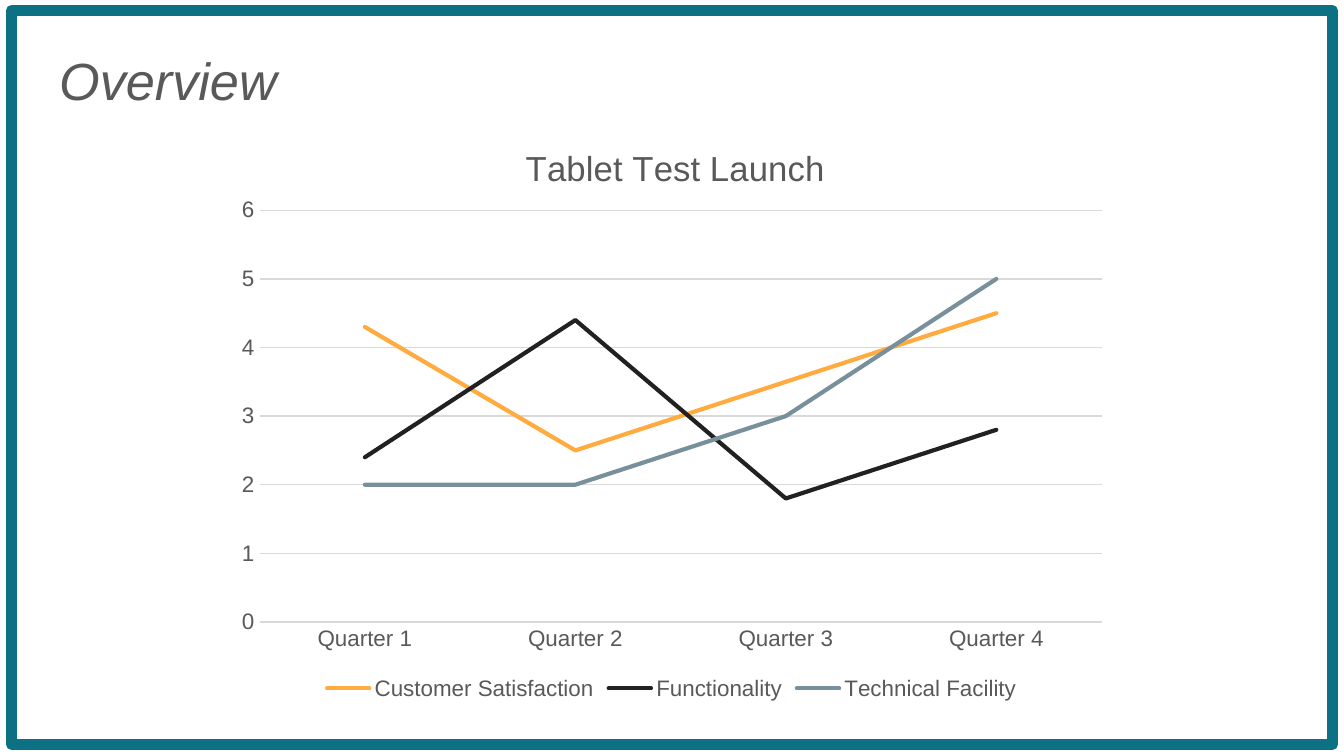
import dataclasses

import lxml.etree
import pptx
import pptx.chart.data
import pptx.dml.color
import pptx.enum.chart
import pptx.enum.shapes
import pptx.enum.text
import pptx.oxml.ns
import pptx.util
from pptx.util import Cm


@dataclasses.dataclass(frozen=True)
class Theme:
    font: str = "Arial"
    frame: str = "0C7182"
    text: str = "595959"
    grid: str = "D9D9D9"
    series: tuple = ("FFAB40", "212121", "78909C")
    heading_size: float = 28
    chart_title_size: float = 18.6
    label_size: float = 12
    frame_width: float = 6
    series_width: float = 2.25
    grid_width: float = 0.75


THEME = Theme()
QUARTERS = [f"Quarter {number}" for number in range(1, 5)]
SCORES = {
    "Customer Satisfaction": (4.3, 2.5, 3.5, 4.5),
    "Functionality": (2.4, 4.4, 1.8, 2.8),
    "Technical Facility": (2, 2, 3, 5),
}


def style_font(font, size, italic=False):
    font.name = THEME.font
    font.size = pptx.util.Pt(size)
    font.bold = False
    font.italic = italic
    font.color.rgb = pptx.dml.color.RGBColor.from_string(THEME.text)


def style_line(line, color, width):
    line.color.rgb = pptx.dml.color.RGBColor.from_string(color)
    line.width = pptx.util.Pt(width)


def add_span(para, text, size, italic=False):
    span = para.add_run()
    span.text = text
    style_font(span.font, size, italic)


def place_in_chart(element, inner=False, **fractions):
    """Give a chart part a fixed place, in fractions of the chart."""
    qn = pptx.oxml.ns.qn
    layout = element.find(qn("c:layout"))
    if layout is None:
        layout = lxml.etree.Element(qn("c:layout"))
        element.insert(0, layout)
    manual = lxml.etree.SubElement(layout, qn("c:manualLayout"))
    settings = [("layoutTarget", "inner")] if inner else []
    settings += [("xMode", "edge"), ("yMode", "edge"), *fractions.items()]
    for name, value in settings:
        lxml.etree.SubElement(manual, qn(f"c:{name}")).set("val", str(value))


def add_frame(page, left, top, width, height):
    frame = page.shapes.add_shape(
        pptx.enum.shapes.MSO_SHAPE.RECTANGLE, left, top, width, height)
    frame.shadow.inherit = False
    frame.fill.background()
    style_line(frame.line, THEME.frame, THEME.frame_width)
    lxml.etree.SubElement(frame.line._ln, pptx.oxml.ns.qn("a:round"))


def add_heading(page, text, left, top, width, height):
    box = page.shapes.add_textbox(left, top, width, height)
    frame = box.text_frame
    frame.word_wrap = True
    frame.vertical_anchor = pptx.enum.text.MSO_ANCHOR.TOP
    frame.margin_left = frame.margin_right = frame.margin_bottom = Cm(0.25)
    frame.margin_top = Cm(0.35)
    add_span(frame.paragraphs[0], text, THEME.heading_size, italic=True)


def style_axes(chart):
    for axis in (chart.category_axis, chart.value_axis):
        axis.major_tick_mark = pptx.enum.chart.XL_TICK_MARK.NONE
        axis.minor_tick_mark = pptx.enum.chart.XL_TICK_MARK.NONE
        style_font(axis.tick_labels.font, THEME.label_size)
    style_line(chart.category_axis.format.line, THEME.grid, THEME.grid_width)
    values = chart.value_axis
    values.minimum_scale, values.maximum_scale, values.major_unit = 0, 6, 1
    values.format.line.fill.background()
    style_line(values.major_gridlines.format.line, THEME.grid, THEME.grid_width)


def add_line_chart(page, title, left, top, width, height):
    data = pptx.chart.data.CategoryChartData()
    data.categories = QUARTERS
    for name, values in SCORES.items():
        data.add_series(name, values)
    chart = page.shapes.add_chart(
        pptx.enum.chart.XL_CHART_TYPE.LINE, left, top, width, height, data).chart
    style_font(chart.font, THEME.label_size)

    # Title and plot area
    chart.has_title = True
    para = chart.chart_title.text_frame.paragraphs[0]
    add_span(para, title, THEME.chart_title_size)
    place_in_chart(chart.chart_title._element, x=0.33, y=0.05)
    plot_area = chart._chartSpace.chart.plotArea
    place_in_chart(plot_area, inner=True, x=0.04, y=0.17, w=0.94, h=0.69)

    # Legend and axes
    chart.has_legend = True
    chart.legend.position = pptx.enum.chart.XL_LEGEND_POSITION.BOTTOM
    chart.legend.include_in_layout = False
    style_font(chart.legend.font, THEME.label_size)
    style_axes(chart)

    # Series
    chart.plots[0].vary_by_categories = False
    for series, color in zip(chart.plots[0].series, THEME.series):
        series.smooth = False
        series.marker.style = pptx.enum.chart.XL_MARKER_STYLE.NONE
        style_line(series.format.line, color, THEME.series_width)
        series.format.line._ln.set("cap", "rnd")
        lxml.etree.SubElement(series.format.line._ln, pptx.oxml.ns.qn("a:round"))


def main():
    deck = pptx.Presentation()
    deck.slide_width, deck.slide_height = Cm(25.4), Cm(14.29)
    page = deck.slides.add_slide(deck.slide_layouts[6])
    add_frame(page, Cm(0.22), Cm(0.2), Cm(24.96), Cm(13.87))
    add_heading(page, "Overview", Cm(0.87), Cm(0.56), Cm(23.67), Cm(2.2))
    add_line_chart(page, "Tablet Test Launch",
                   Cm(4.23), Cm(2.06), Cm(16.93), Cm(11.28))
    deck.save("out.pptx")


main()
